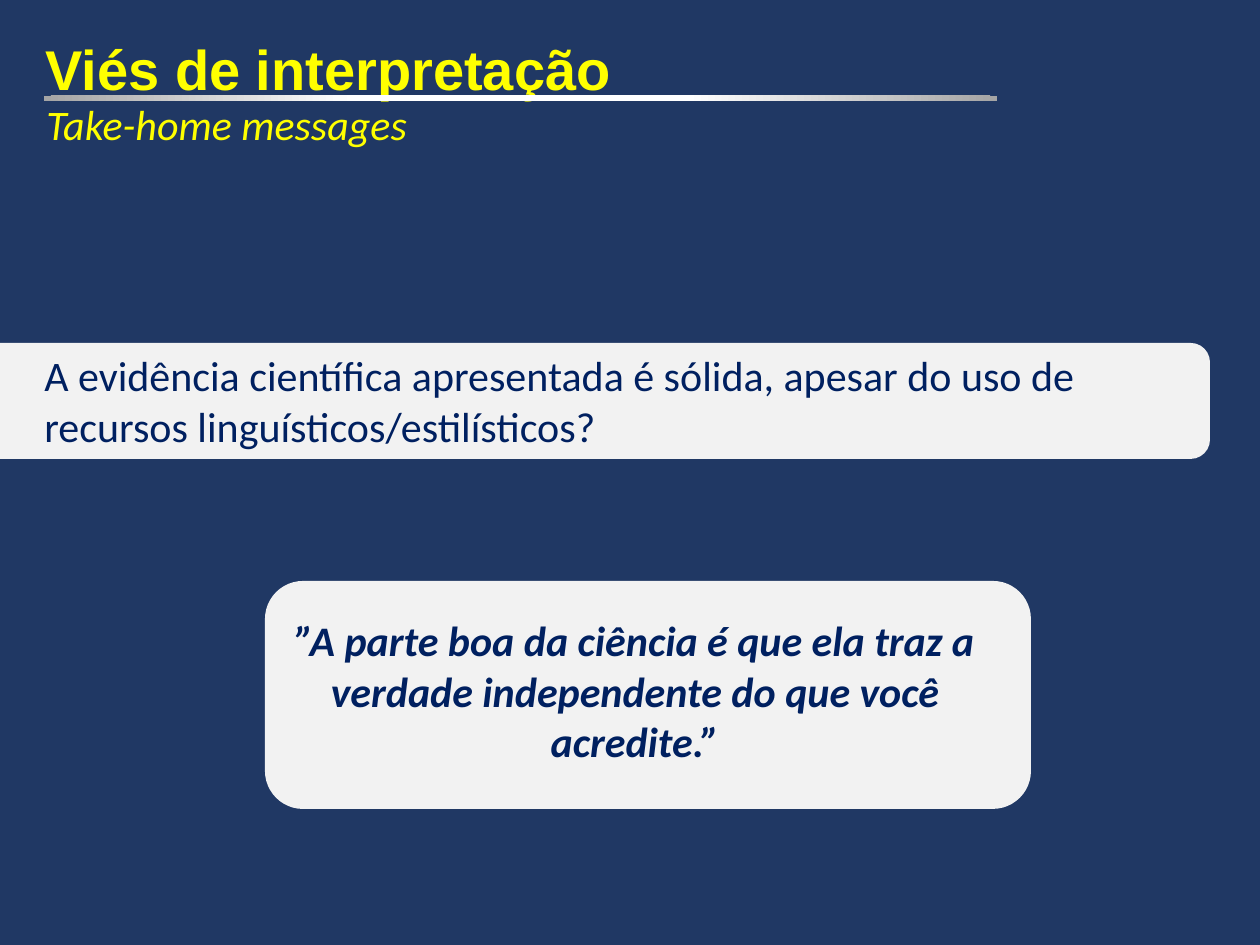
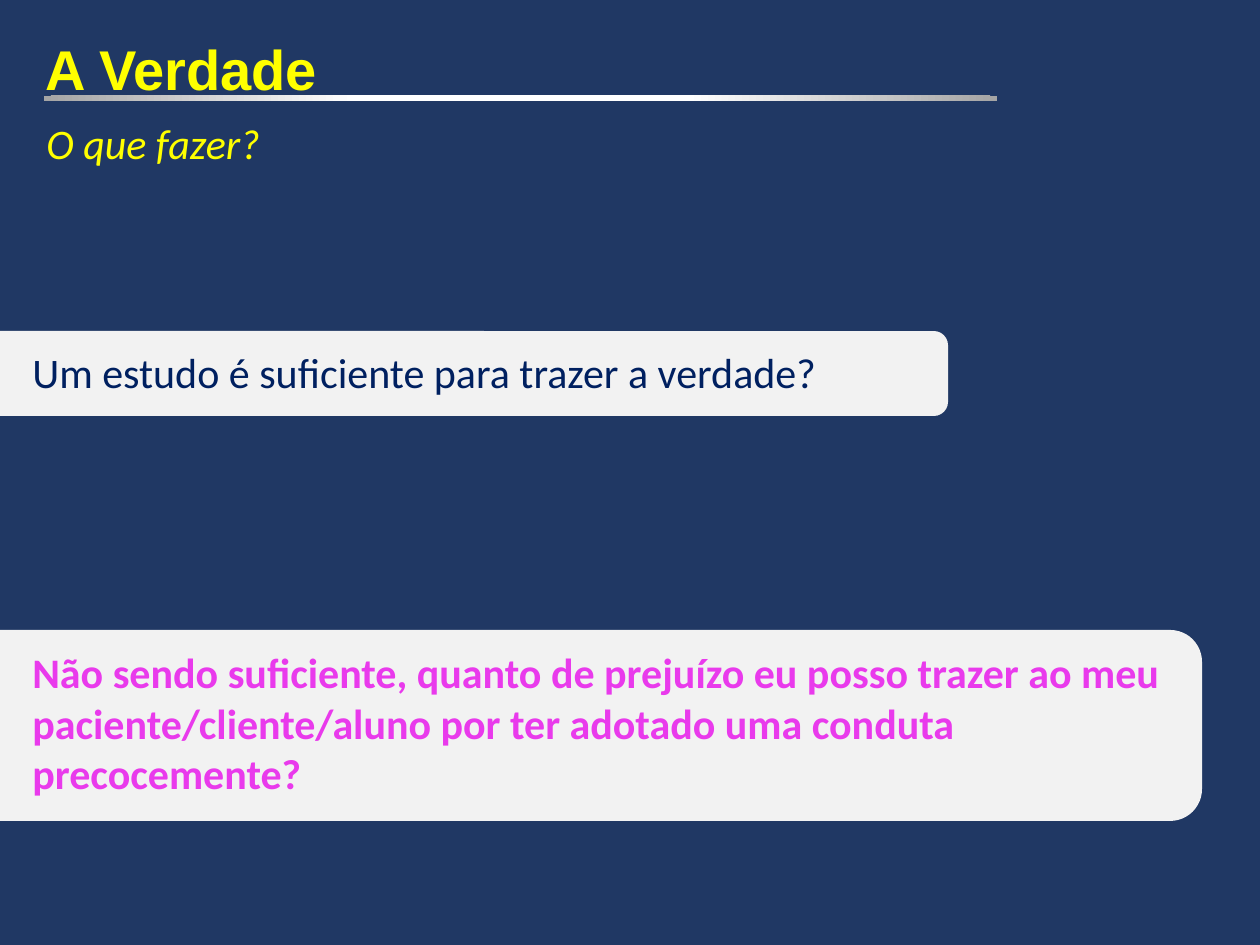
from lxml import etree
from pptx import Presentation
from pptx import util as u
from pptx.dml.color import RGBColor
from pptx.enum import shapes, text
from pptx.oxml import parse_xml

EMU_PER_PX = 914400 / 126
COLORS = {
    "background": "203864",
    "heading": "FFFF00",
    "panel": "F2F2F2",
    "body": "002060",
    "warning": "E93AEC",
    "rule_center": "FFFFFF",
    "rule_end": "A5A5A5",
}
RULE_GRADIENT = f"""
<a:gradFill xmlns:a="http://schemas.openxmlformats.org/drawingml/2006/main" rotWithShape="1">
  <a:gsLst>
    <a:gs pos="0"><a:srgbClr val="{COLORS['rule_center']}"/></a:gs>
    <a:gs pos="35000"><a:srgbClr val="{COLORS['rule_center']}"/></a:gs>
    <a:gs pos="100000"><a:srgbClr val="{COLORS['rule_end']}"/></a:gs>
  </a:gsLst>
  <a:path path="circle"><a:fillToRect l="50000" t="-80000" r="50000" b="180000"/></a:path>
</a:gradFill>"""


def px(*lengths):
    return [u.Emu(round(length * EMU_PER_PX)) for length in lengths]


def add_text(slide, box, words, font="Calibri", size=24, color="body", bold=False,
             italic=False, align=text.PP_ALIGN.LEFT, wrap=True, top_inset=6):
    frame = slide.shapes.add_textbox(*px(*box)).text_frame
    frame.word_wrap = wrap
    frame.margin_top = px(top_inset)[0]
    paragraph = frame.paragraphs[0]
    paragraph.alignment = align
    run = paragraph.add_run()
    run.text = words
    run.font.name = font
    run.font.size = u.Pt(size)
    run.font.bold = bold
    run.font.italic = italic
    run.font.color.rgb = RGBColor.from_string(COLORS[color])


# Each statement: panel box, text box, words, text format
lessons = [
    {
        "title": "Viés de interpretação",
        "subtitle": "Take-home messages",
        "subtitle_box": (34, 93, 391, 63),
        "statements": [
            ((-45, 343, 1255, 116), (32, 344, 1159, 115),
             "A evidência científica apresentada é sólida, apesar do uso de "
             "recursos linguísticos/estilísticos?", {}),
            ((265, 581, 766, 228), (252, 609, 766, 165),
             "”A parte boa da ciência é que ela traz a verdade independente "
             "do que você acredite.”",
             {"bold": True, "italic": True, "align": text.PP_ALIGN.CENTER}),
        ],
    },
    {
        "title": "A Verdade",
        "subtitle": "O que fazer?",
        "subtitle_box": (34, 112, 242, 63),
        "statements": [
            ((-39, 331, 987, 85), (20, 341, 1240, 63),
             "Um estudo é suficiente para trazer a verdade?", {}),
            ((-39, 630, 1241, 191), (20, 641, 1182, 165),
             "Não sendo suficiente, quanto de prejuízo eu posso trazer ao meu "
             "paciente/cliente/aluno por ter adotado uma conduta precocemente?",
             {"bold": True, "color": "warning"}),
        ],
    },
]

deck = Presentation()
deck.slide_width, deck.slide_height = px(1260, 945)

for lesson in lessons:
    slide = deck.slides.add_slide(deck.slide_layouts[6])
    slide.background.fill.solid()
    slide.background.fill.fore_color.rgb = RGBColor.from_string(COLORS["background"])

    add_text(slide, (33, 23, 1226, 179), lesson["title"], font="Arial", size=32,
             color="heading", bold=True, top_inset=12)

    rule = slide.shapes.add_shape(shapes.MSO_SHAPE.RECTANGLE, *px(44, 96, 953, 5))
    rule.shadow.inherit = False
    rule.line.fill.background()
    geometry = rule.element.spPr.prstGeom
    geometry.addnext(parse_xml(RULE_GRADIENT))

    add_text(slide, lesson["subtitle_box"], lesson["subtitle"], color="heading",
             italic=True, wrap=False)

    for panel_box, text_box, words, style in lesson["statements"]:
        panel = slide.shapes.add_shape(shapes.MSO_SHAPE.ROUNDED_RECTANGLE, *px(*panel_box))
        panel.shadow.inherit = False
        panel.fill.solid()
        panel.fill.fore_color.rgb = RGBColor.from_string(COLORS["panel"])
        panel.line.fill.background()
        add_text(slide, text_box, words, **style)

deck.save("out.pptx")
